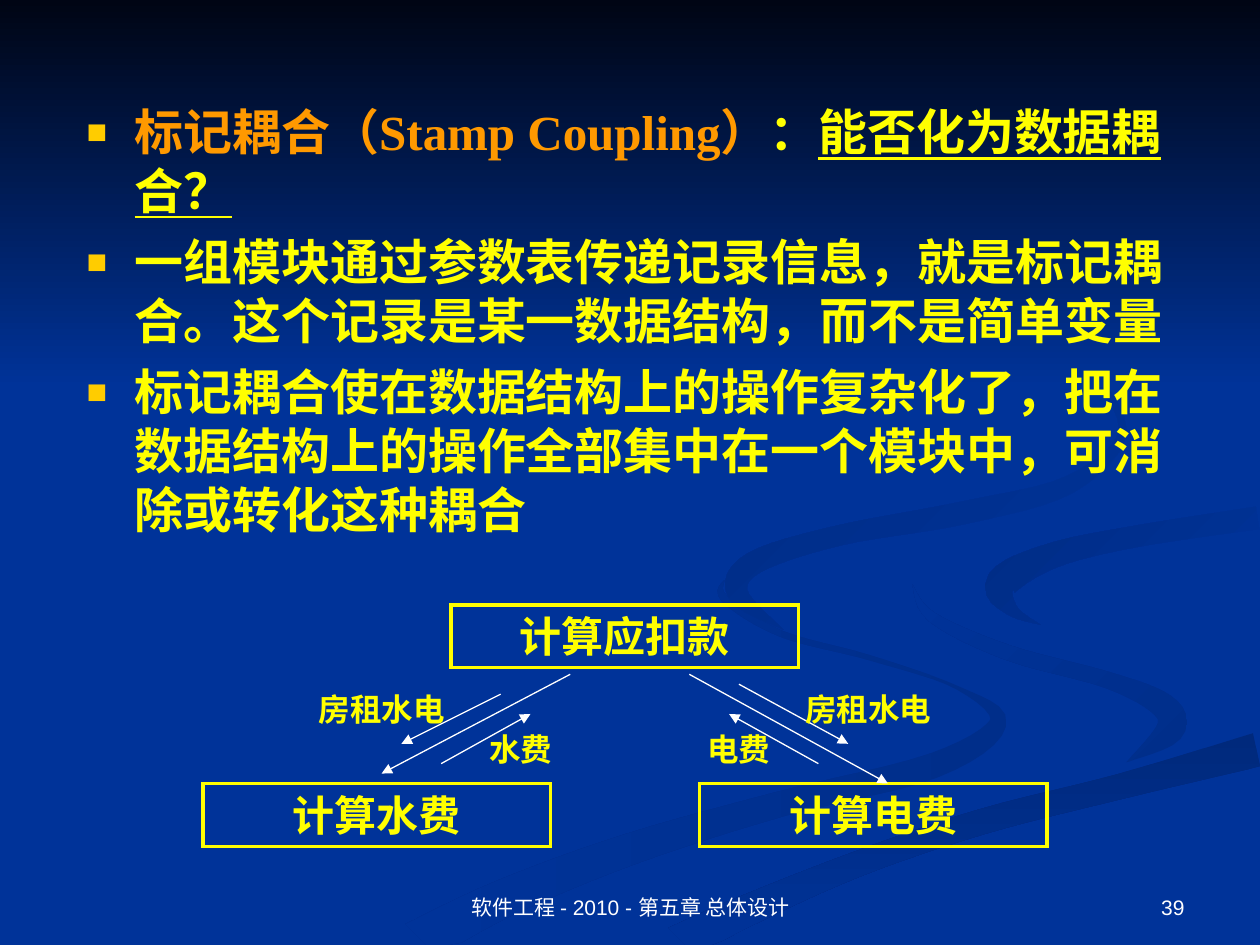
"""Build the stamp coupling slide of a software engineering lecture."""
from math import hypot

from lxml import etree
from pptx import Presentation
from pptx.dml.color import RGBColor
from pptx.enum.shapes import MSO_CONNECTOR, MSO_SHAPE
from pptx.enum.text import MSO_ANCHOR, PP_ALIGN
from pptx.oxml.ns import qn
from pptx.util import Inches, Pt

RECTANGLE, STRAIGHT = MSO_SHAPE.RECTANGLE, MSO_CONNECTOR.STRAIGHT
CENTER, RIGHT = PP_ALIGN.CENTER, PP_ALIGN.RIGHT
TOP, BOTTOM = MSO_ANCHOR.TOP, MSO_ANCHOR.BOTTOM

BLUE = RGBColor(0x00, 0x33, 0x99)
NIGHT = RGBColor(0x00, 0x05, 0x14)
SHADE_UPPER = RGBColor(0x00, 0x2B, 0x81)
SHADE_SIDE = RGBColor(0x00, 0x2C, 0x85)
SHADE_LIGHT = RGBColor(0x00, 0x2E, 0x8A)
SHADE_BAND = RGBColor(0x00, 0x29, 0x7C)
YELLOW = RGBColor(0xFF, 0xFF, 0x00)
ORANGE = RGBColor(0xFF, 0x99, 0x00)
GOLD = RGBColor(0xFF, 0xCC, 0x00)
WHITE = RGBColor(0xFF, 0xFF, 0xFF)

WIDTH, HEIGHT = Inches(10), Inches(7.5)
TENTH = WIDTH // 10
GRID_LEFT, GRID_TOP, CELL = Inches(1.61), Inches(4.8), Inches(0.394)
CURVE_STEPS = 6

BODY = {"name": "Times New Roman", "size": Pt(28), "bold": True}
MODULE = {**BODY, "size": Pt(24)}
LABEL = {**BODY, "size": Pt(18)}
FOOTER = {"name": "Arial", "size": Pt(12)}

BULLETS = [
    [("标记耦合（Stamp Coupling）", ORANGE, False), ("：", YELLOW, False),
     ("能否化为数据耦合？", YELLOW, True)],
    [("一组模块通过参数表传递记录信息，就是标记耦合。这个记录是某一数据结构，而不是简单变量",
      YELLOW, False)],
    [("标记耦合使在数据结构上的操作复杂化了，把在数据结构上的操作全部集中在一个模块中，可消除或转化这种耦合",
      YELLOW, False)],
]
MODULES = [("计算应扣款", 5, 0), ("计算水费", 0, 3.6), ("计算电费", 10, 3.6)]
ARROWS = [
    (7.4, 1.4, 3.6, 3.4), (9.8, 1.4, 13.8, 3.6), (6, 1.8, 4, 2.8),
    (10.8, 1.6, 13, 2.8), (12.4, 3.2, 10.6, 2.2), (4.8, 3.2, 6.6, 2.2),
]
LABELS = [("房租水电", 1.8, 1.6, 3.6), ("水费", 5, 2.4, 2.8),
          ("电费", 9.4, 2.4, 2.8), ("房租水电", 11.6, 1.6, 3.6)]
FOOTERS = [("软件工程 - 2010 - 第五章 总体设计", 34.2, 31.7, CENTER),
           ("39", 71.7, 23.3, RIGHT)]

LOWER_STREAM = [(5.75, 4.6, 0), (5.75, 4.75, 0.06), (6.2, 5.03, 0.05), (6.9, 5.22, 0.04),
                (7.6, 5.46, 0.03), (7.92, 5.74, 0.14), (7.4, 6.08, 0.2),
                (6.2, 6.38, 0.2), (5, 6.74, 0.25), (4, 7.13, 0.3), (3.3, 7.49, 0.35)]
SIDE_STREAM = [(7.24, 4.64, 0), (7.4, 4.9, 0.08), (8, 5.18, 0.12), (8.8, 5.4, 0.13),
               (9.23, 5.6, 0.2), (9.28, 5.8, 0.22), (8.94, 6.05, 0)]
DARK_BAND = [(9.98, 5.95, 0.27), (8.9, 6.24, 0.2), (7.8, 6.52, 0.2), (6.8, 6.86, 0.2),
             (5.9, 7.24, 0.25), (5.37, 7.5, 0.3)]
SIDE_CRESCENT = [(9.98, 4.11, 0.18), (9, 4.26, 0.17), (8.35, 4.41, 0.2),
                 (7.95, 4.63, 0.25), (8.03, 4.84, 0.1), (8.26, 4.96, 0)]
UPPER_STREAM = [(7.62, 2.33, 0), (8.5, 2.83, 0.05), (8.91, 3.4, 0.06), (8.5, 3.84, 0.14),
                (7.65, 4.07, 0.18), (6.66, 4.25, 0.16), (5.98, 4.47, 0.18),
                (5.86, 4.72, 0.16), (6.22, 5, 0)]
RIBBONS = [
    (LOWER_STREAM, SHADE_LIGHT, BLUE, 180), (SIDE_STREAM, SHADE_LIGHT, BLUE, 225),
    (DARK_BAND, SHADE_BAND, BLUE, 90), (SIDE_CRESCENT, BLUE, SHADE_SIDE, 225),
    (UPPER_STREAM, BLUE, SHADE_UPPER, 225),
]


def share(left, top, width, height):
    """Turn percentages of the slide into left, top, width and height."""
    return [int(part * whole / 100) for part, whole in
            zip((left, top, width, height), (WIDTH, HEIGHT, WIDTH, HEIGHT))]


def grid(column, row):
    """Return the point at a column and row of the diagram grid."""
    return int(GRID_LEFT + column * CELL), int(GRID_TOP + row * CELL)


def smooth(knots):
    """Run a Catmull-Rom curve through knots of x, y and thickness."""
    padded = [knots[0], *knots, knots[-1]]
    curve = []
    for before, start, end, after in zip(padded, padded[1:], padded[2:], padded[3:]):
        for step in range(CURVE_STEPS):
            t = step / CURVE_STEPS
            curve.append([
                b + t * (c - a + t * (2 * a - 5 * b + 4 * c - d + t * (3 * b - a - 3 * c + d))) / 2
                if t else b for a, b, c, d in zip(before, start, end, after)])
            curve[-1][:2] = [
                (2 * b + t * (c - a) + t ** 2 * (2 * a - 5 * b + 4 * c - d)
                 + t ** 3 * (3 * b - a - 3 * c + d)) / 2
                for a, b, c, d in zip(before[:2], start[:2], end[:2], after[:2])]
    return curve + [list(knots[-1])]


def ribbon_outline(knots):
    """Offset a smooth spine to both sides and keep it on the slide."""
    spine = smooth(knots)
    near, far = [], []
    for index, (x, y, thickness) in enumerate(spine):
        ahead, behind = spine[min(index + 1, len(spine) - 1)], spine[max(index - 1, 0)]
        dx, dy = ahead[0] - behind[0], ahead[1] - behind[1]
        reach = max(thickness, 0) / 2 / hypot(dx, dy)
        near.append((x - dy * reach, y + dx * reach))
        far.append((x + dy * reach, y - dx * reach))
    return [(min(int(x * TENTH), WIDTH), min(int(y * TENTH), HEIGHT))
            for x, y in near + far[::-1]]


def shade(shape, start, end, angle):
    """Fill a borderless shape with a gradient at a clockwise angle."""
    shape.shadow.inherit = False
    shape.line.fill.background()
    shape.fill.gradient()
    shape.fill.gradient_angle = -angle % 360
    for stop, color, position in zip(shape.fill.gradient_stops, (start, end), (0, 1)):
        stop.color.rgb = color
        stop.position = position


def add_ribbon(page, knots, start, end, angle):
    """Draw a tapering ribbon along its spine."""
    outline = ribbon_outline(knots)
    builder = page.shapes.build_freeform(*outline[0])
    builder.add_line_segments(outline[1:], close=True)
    shade(builder.convert_to_shape(), start, end, angle)


def add_span(para, text, style, color):
    """Add a run of text with the given font values and colour."""
    span = para.add_run()
    span.text = text
    for name, value in style.items():
        setattr(span.font, name, value)
    span.font.color.rgb = color


def write_line(box, text, style, color, align=CENTER, anchor=TOP):
    """Write one aligned paragraph into a box."""
    frame = box.text_frame
    frame.word_wrap = True
    frame.vertical_anchor = anchor
    para = frame.paragraphs[0]
    para.alignment = align
    add_span(para, text, style, color)


def add_bullet(para):
    """Give a paragraph a hanging gold square."""
    props = para._p.get_or_add_pPr()
    props.set("marL", str(Inches(0.38)))
    props.set("indent", str(-Inches(0.38)))
    color = etree.SubElement(props, qn("a:buClr"))
    etree.SubElement(color, qn("a:srgbClr"), val=str(GOLD))
    etree.SubElement(props, qn("a:buSzPct"), val="70000")
    etree.SubElement(props, qn("a:buFont"), typeface="Arial")
    etree.SubElement(props, qn("a:buChar"), char="■")


def add_body(page):
    """Add the bulleted explanation."""
    frame = page.shapes.add_textbox(*share(5.9, 10.13, 90, 53.6)).text_frame
    frame.word_wrap = True
    for index, spans in enumerate(BULLETS):
        para = frame.add_paragraph() if index else frame.paragraphs[0]
        add_bullet(para)
        para.space_before = Pt(7 if index else 0)
        for text, color, underline in spans:
            add_span(para, text, {**BODY, "underline": underline}, color)


def add_module(page, text, column, row):
    """Add an outlined module box on the grid."""
    box = page.shapes.add_shape(RECTANGLE, *grid(column, row), 7 * CELL, Inches(0.5))
    box.shadow.inherit = False
    box.fill.background()
    box.line.color.rgb = YELLOW
    box.line.width = Pt(2)
    etree.SubElement(box.line._get_or_add_ln(), qn("a:miter"), lim="800000")
    write_line(box, text, MODULE, YELLOW)


def add_arrow(page, *ends):
    """Add a thin white arrow between two grid points."""
    arrow = page.shapes.add_connector(STRAIGHT, *grid(*ends[:2]), *grid(*ends[2:]))
    arrow.line.color.rgb = WHITE
    arrow.line.width = Pt(0.75)
    etree.SubElement(arrow.line._get_or_add_ln(), qn("a:tailEnd"), type="triangle")
    etree.SubElement(arrow._element.spPr, qn("a:effectLst"))


def add_label(page, text, column, row, columns):
    """Add a data label beside an arrow."""
    box = page.shapes.add_textbox(*grid(column, row), int(columns * CELL), Inches(0.4))
    write_line(box, text, LABEL, YELLOW)


def add_footer(page, text, left, width, align):
    """Add a small line of text at the foot of the slide."""
    box = page.shapes.add_textbox(*share(left, 91.07, width, 6.93))
    write_line(box, text, FOOTER, WHITE, align, BOTTOM)


def main():
    """Build and save the deck."""
    deck = Presentation()
    deck.slide_width, deck.slide_height = WIDTH, HEIGHT
    page = deck.slides.add_slide(deck.slide_layouts[6])
    page.background.fill.solid()
    page.background.fill.fore_color.rgb = BLUE
    for ribbon in RIBBONS:
        add_ribbon(page, *ribbon)
    shade(page.shapes.add_shape(RECTANGLE, *share(0, 0, 100, 41)), NIGHT, BLUE, 90)
    add_body(page)
    for add, rows in ((add_module, MODULES), (add_arrow, ARROWS),
                      (add_label, LABELS), (add_footer, FOOTERS)):
        for row in rows:
            add(page, *row)
    deck.save("out.pptx")


if __name__ == "__main__":
    main()
